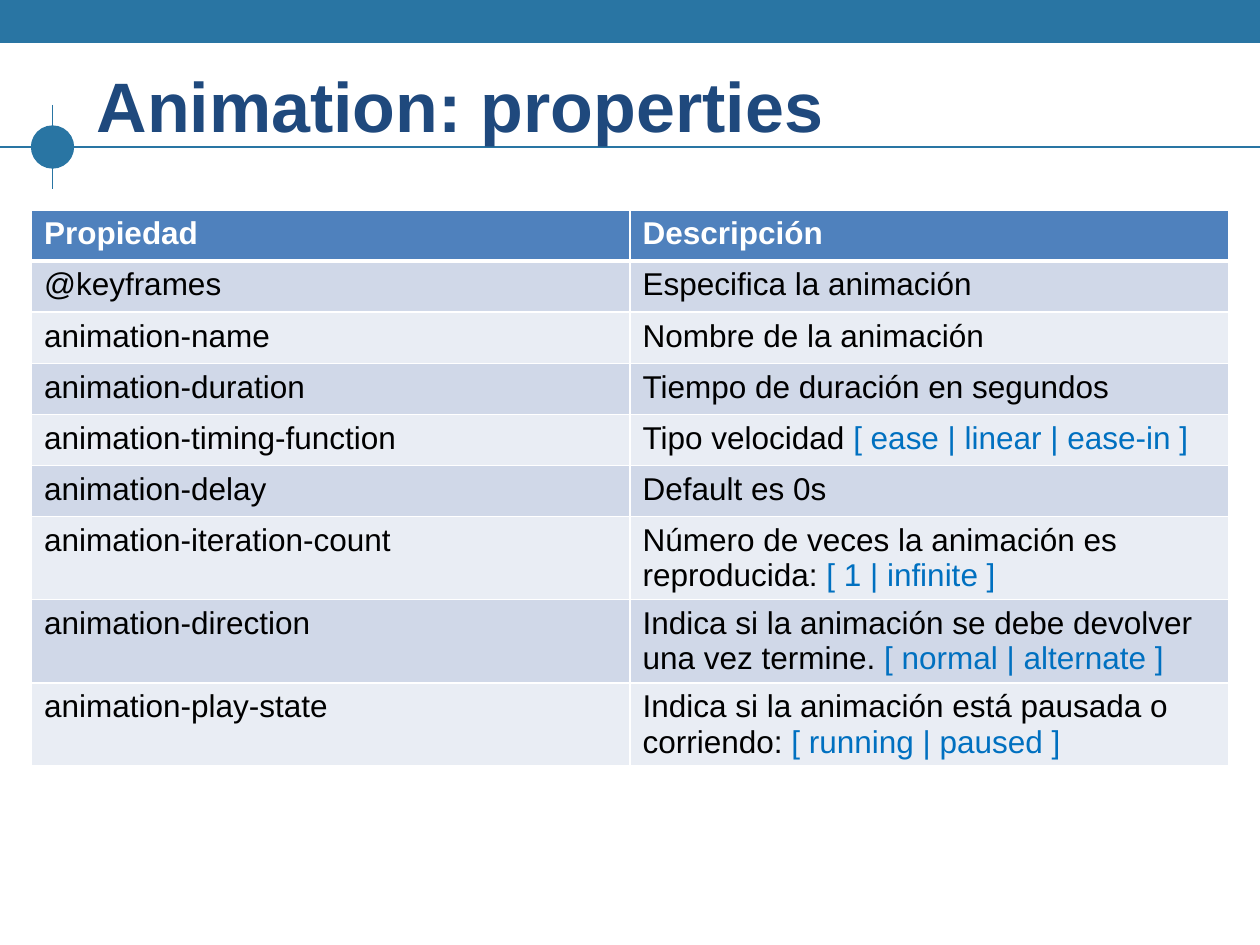
"""Build the slide that lists the CSS animation properties."""
from dataclasses import dataclass

from lxml import etree
from pptx import Presentation
from pptx.dml.color import RGBColor
from pptx.enum.shapes import MSO_CONNECTOR, MSO_SHAPE
from pptx.enum.text import MSO_ANCHOR, MSO_AUTO_SIZE, PP_ALIGN
from pptx.oxml.ns import qn
from pptx.util import Pt

RECTANGLE, OVAL = MSO_SHAPE.RECTANGLE, MSO_SHAPE.OVAL
STRAIGHT = MSO_CONNECTOR.STRAIGHT
MIDDLE, LEFT, FIXED = MSO_ANCHOR.MIDDLE, PP_ALIGN.LEFT, MSO_AUTO_SIZE.NONE
TITLE_ONLY = 5


@dataclass(frozen=True)
class Theme:
    """Hold the colours and type sizes of the slide."""
    font: str = "Arial"
    accent: str = "2975A3"
    title: str = "1F497D"
    header: str = "4F81BD"
    bands: tuple = ("D0D8E8", "E9EDF4")
    white: str = "FFFFFF"
    text: str = "000000"
    values: str = "0070C0"
    title_size: int = 40
    table_size: int = 18


THEME = Theme()

HEADINGS = ("Propiedad", "Descripción")
PROPERTIES = (
    ("@keyframes", "Especifica la animación", ""),
    ("animation-name", "Nombre de la animación", ""),
    ("animation-duration", "Tiempo de duración en segundos", ""),
    ("animation-timing-function", "Tipo velocidad ", "[ ease | linear | ease-in ]"),
    ("animation-delay", "Default es 0s", ""),
    ("animation-iteration-count", "Número de veces la animación es reproducida: ",
     "[ 1 | infinite ]"),
    ("animation-direction", "Indica si la animación se debe devolver una vez termine. ",
     "[ normal | alternate ]"),
    ("animation-play-state", "Indica si la animación está pausada o corriendo: ",
     "[ running | paused ]"),
)


def set_attributes(target, values):
    """Set each attribute of the target from a dict of values."""
    for name, value in values.items():
        setattr(target, name, value)


def add_run(paragraph, text, size, color, bold=False):
    """Append a formatted run to a paragraph."""
    run = paragraph.add_run()
    run.text = text
    set_attributes(run.font, {"name": THEME.font, "size": Pt(size), "bold": bold})
    run.font.color.rgb = RGBColor.from_string(color)


def add_accent_shape(slide, kind, left, top, width, height):
    """Add a plain shape in the accent colour."""
    shape = slide.shapes.add_shape(kind, Pt(left), Pt(top), Pt(width), Pt(height))
    shape.shadow.inherit = False
    shape.fill.solid()
    shape.fill.fore_color.rgb = RGBColor.from_string(THEME.accent)
    shape.line.color.rgb = RGBColor.from_string(THEME.accent)
    shape.line.width = Pt(0.75)


def add_accent_line(slide, start_x, start_y, end_x, end_y):
    """Add a straight line in the accent colour."""
    line = slide.shapes.add_connector(
        STRAIGHT, Pt(start_x), Pt(start_y), Pt(end_x), Pt(end_y))
    line.line.color.rgb = RGBColor.from_string(THEME.accent)
    line.line.width = Pt(1)
    etree.SubElement(line.element.spPr, qn("a:effectLst"))


def place_title(slide, text):
    """Move the title placeholder into place, in front of the decoration."""
    title = slide.shapes.title
    slide.shapes[-1].element.addnext(title.element)
    set_attributes(title, {"left": Pt(48), "top": Pt(30),
                           "width": Pt(570), "height": Pt(60)})
    set_attributes(title.text_frame, {"vertical_anchor": MIDDLE,
                                      "auto_size": FIXED, "word_wrap": True})
    paragraph = title.text_frame.paragraphs[0]
    paragraph.alignment = LEFT
    add_run(paragraph, text, THEME.title_size, THEME.title, True)


def set_borders(cell, bottom_width):
    """Give a cell white borders, placed ahead of its fill."""
    properties = cell._tc.get_or_add_tcPr()
    widths = {"a:lnL": 1, "a:lnR": 1, "a:lnT": 1, "a:lnB": bottom_width}
    for position, (side, width) in enumerate(widths.items()):
        border = etree.Element(qn(side), w=str(Pt(width)))
        fill = etree.SubElement(border, qn("a:solidFill"))
        etree.SubElement(fill, qn("a:srgbClr"), val=THEME.white)
        properties.insert(position, border)


def fill_cell(cell, fill, runs, bold=False, bottom_width=1):
    """Fill a cell and write its (text, colour) runs."""
    cell.fill.solid()
    cell.fill.fore_color.rgb = RGBColor.from_string(fill)
    set_borders(cell, bottom_width)
    for text, color in runs:
        if text:
            add_run(cell.text_frame.paragraphs[0], text, THEME.table_size, color, bold)


def add_properties_table(slide):
    """Add the table of properties and descriptions."""
    row_count, row_height = len(PROPERTIES) + 1, 29.2
    table = slide.shapes.add_table(row_count, len(HEADINGS), Pt(18), Pt(120),
                                   Pt(684), Pt(row_count * row_height)).table
    for column, heading in enumerate(HEADINGS):
        fill_cell(table.cell(0, column), THEME.header, [(heading, THEME.white)], True, 3)
    for row, (name, description, values) in enumerate(PROPERTIES, 1):
        band = THEME.bands[(row - 1) % 2]
        fill_cell(table.cell(row, 0), band, [(name, THEME.text)])
        fill_cell(table.cell(row, 1), band,
                  [(description, THEME.text), (values, THEME.values)])


def main():
    """Build and save the presentation."""
    presentation = Presentation()
    set_attributes(presentation, {"slide_width": Pt(720), "slide_height": Pt(540)})
    slide = presentation.slides.add_slide(presentation.slide_layouts[TITLE_ONLY])
    add_accent_shape(slide, RECTANGLE, 0, 0, 720, 24)
    add_accent_line(slide, 0, 84, 720, 84)
    add_accent_shape(slide, OVAL, 18, 72, 24, 24)
    add_accent_line(slide, 30, 60, 30, 108)
    place_title(slide, "Animation: properties")
    add_properties_table(slide)
    presentation.save("out.pptx")


main()
